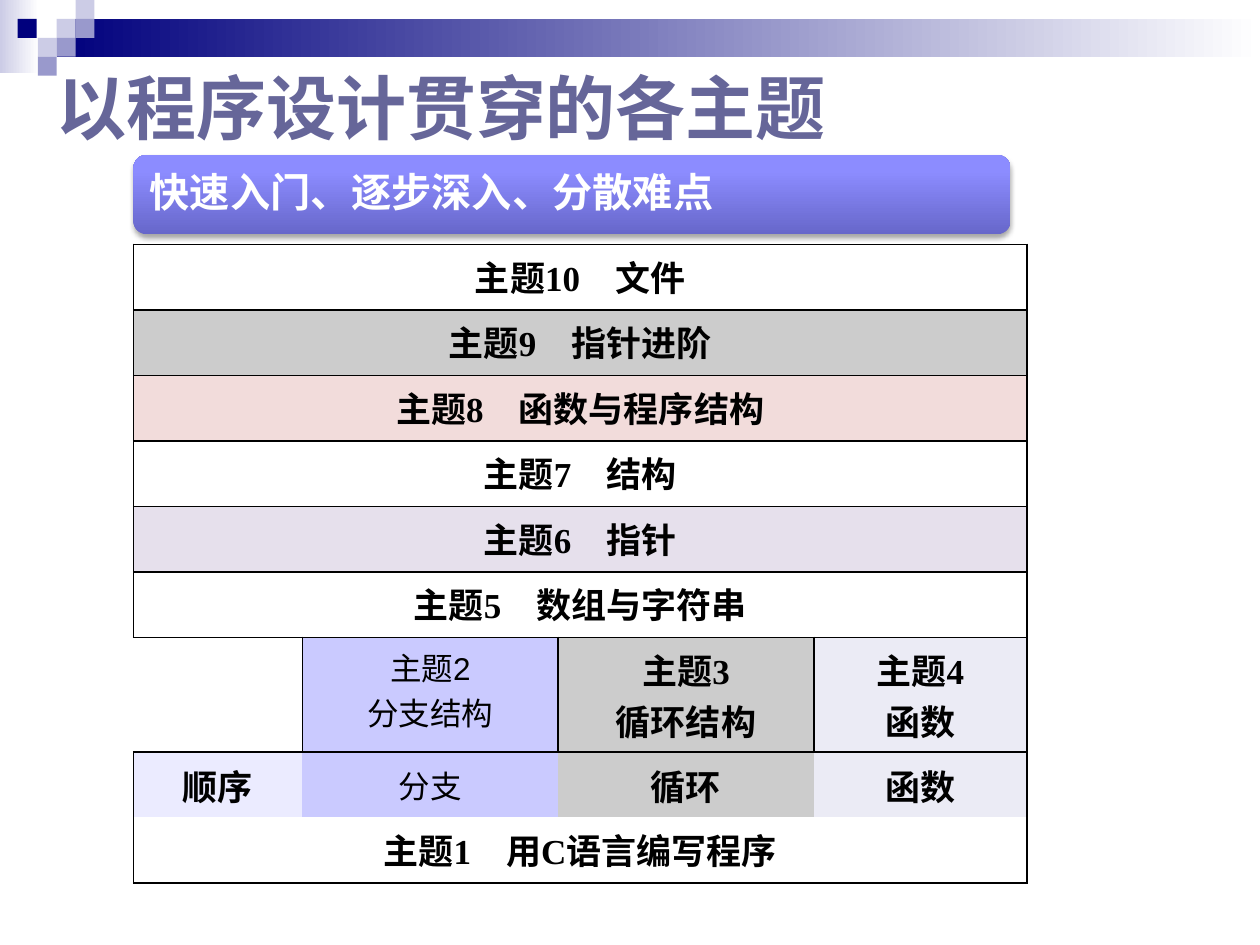
from lxml import etree
from pptx import Presentation
from pptx.dml.color import RGBColor
from pptx.enum.shapes import MSO_SHAPE
from pptx.enum.text import MSO_ANCHOR, MSO_AUTO_SIZE, PP_ALIGN
from pptx.oxml import parse_xml
from pptx.oxml.ns import nsdecls, qn
from pptx.util import Inches, Pt

RECT, ROUND = MSO_SHAPE.RECTANGLE, MSO_SHAPE.ROUNDED_RECTANGLE
MIDDLE, TOP = MSO_ANCHOR.MIDDLE, MSO_ANCHOR.TOP
CENTER, GROW = PP_ALIGN.CENTER, MSO_AUTO_SIZE.SHAPE_TO_FIT_TEXT

TITLE = "以程序设计贯穿的各主题"
SLOGAN = "快速入门、逐步深入、分散难点"
BARS = [
    ((0, 0, 0.31, 0.58), [(0, "CCCCE6"), (100, "FFFFFF")]),
    ((0.45, 0.15, 9.55, 0.3), [(0, "00007D"), (100, "FFFFFF")]),
]
TILES = [
    (0.45, 0.15, "CCCCE6"), (0.6, 0, "CCCCE6"), (0.6, 0.15, "9999CC"),
    (0.3, 0.3, "CCCCE6"), (0.14, 0.15, "00007D"),
    (0.45, 0.3, "9999CC"), (0.3, 0.45, "9999CC"),
]
TILE = 0.15
GLOW = [(0, "6767CA"), (80, "8C8CFF"), (100, "8E8EFF")]
COLS = [1.34, 2.03, 2.03, 1.69]
ROWS = [0.52] * 6 + [0.91] + [0.52] * 2
GRID = [
    [("主题10　文件", None)],
    [("主题9　指针进阶", "CCCCCC")],
    [("主题8　函数与程序结构", "F2DCDB")],
    [("主题7　结构", None)],
    [("主题6　指针", "E6E0EC")],
    [("主题5　数组与字符串", None)],
    [("", None), ("主题2\n分支结构", "CACAFF"),
     ("主题3\n循环结构", "CCCCCC"), ("主题4\n函数", "EBEBF5")],
    [("顺序", "EBEBFF"), ("分支", "CACAFF"),
     ("循环", "CCCCCC"), ("函数", "EBEBF5")],
    [("主题1　用C语言编写程序", None)],
]
STEPS, WORDS, BASE = 6, 7, 8


def color(code):
    return RGBColor.from_string(code)


def write(par, text, size, face, code, bold):
    run = par.add_run()
    run.text = text
    font = run.font
    font.size, font.name, font.bold = Pt(size), face, bold
    font.color.rgb = color(code)


def block(slide, kind, box, code=None):
    shape = slide.shapes.add_shape(kind, *map(Inches, box))
    shape.shadow.inherit = False
    shape.line.fill.background()
    if code:
        shape.fill.solid()
        shape.fill.fore_color.rgb = color(code)
    return shape


def blend(shape, stops, angle):
    shape.fill.gradient()
    grad = shape._element.spPr.find(qn("a:gradFill"))
    items = grad.find(qn("a:gsLst"))
    for item in list(items):
        items.remove(item)
    for spot, code in stops:
        stop = etree.SubElement(items, qn("a:gs"), pos=str(spot * 1000))
        etree.SubElement(stop, qn("a:srgbClr"), val=code)
    grad.find(qn("a:lin")).set("ang", str(angle * 60000))


def shade(shape):
    effects = shape._element.spPr.find(qn("a:effectLst"))
    effects.append(parse_xml(
        f'<a:outerShdw {nsdecls("a")} blurRad="{Pt(3.1)}" dist="{Pt(1.8)}" '
        'dir="5400000" rotWithShape="0"><a:srgbClr val="000000">'
        '<a:alpha val="35000"/></a:srgbClr></a:outerShdw>'))


def label(slide, box, text, size, code):
    frame = slide.shapes.add_textbox(*map(Inches, box)).text_frame
    frame.word_wrap = True
    write(frame.paragraphs[0], text, size, "Arial", code, True)
    return frame


def sides(row, col):
    if row == STEPS:
        return "RTB" if col == 0 else "LRTB"
    if row == WORDS:
        return "T" + {0: "L", 3: "R"}.get(col, "")
    return "LRB" if row == BASE else "LRTB"


def border(cell, drawn):
    props = cell._tc.get_or_add_tcPr()
    for place, side in enumerate("LRTB"):
        paint = "<a:noFill/>"
        if side in drawn:
            paint = '<a:solidFill><a:srgbClr val="000000"/></a:solidFill>'
        props.insert(place, parse_xml(
            f'<a:ln{side} {nsdecls("a")} w="{Pt(1)}">{paint}</a:ln{side}>'))


def fill(cell, text, code, row, col):
    if code:
        cell.fill.solid()
        cell.fill.fore_color.rgb = color(code)
    else:
        cell.fill.background()
    cell.vertical_anchor = MIDDLE if row == WORDS else TOP
    light = len(GRID[row]) > 1 and col == 1
    size, face = (18, "Arial") if light else (20, "Times New Roman")
    frame = cell.text_frame
    for i, line in enumerate(text.split("\n")):
        par = frame.add_paragraph() if i else frame.paragraphs[0]
        par.alignment = CENTER
        if line:
            write(par, line, size, face, "000000", not light)


def chart(slide):
    table = slide.shapes.add_table(
        len(ROWS), len(COLS), Inches(1.06), Inches(1.94),
        Inches(sum(COLS)), Inches(sum(ROWS))).table
    table.first_row = table.horz_banding = False
    for col, width in zip(table.columns, COLS):
        col.width = Inches(width)
    for row, height in zip(table.rows, ROWS):
        row.height = Inches(height)
    for r, items in enumerate(GRID):
        if len(items) == 1:
            table.cell(r, 0).merge(table.cell(r, len(COLS) - 1))
        for c, (text, code) in enumerate(items):
            fill(table.cell(r, c), text, code, r, c)
        for c in range(len(COLS)):
            border(table.cell(r, c), sides(r, c))


def main():
    deck = Presentation()
    deck.slide_width, deck.slide_height = Inches(10), Inches(7.5)
    slide = deck.slides.add_slide(deck.slide_layouts[6])
    for box, stops in BARS:
        blend(block(slide, RECT, box), stops, 0)
    for x, y, code in TILES:
        block(slide, RECT, (x, y, TILE, TILE), code)
    label(slide, (0.35, 0.46, 7.72, 0.77), TITLE, 40, "666699").auto_size = GROW
    chart(slide)
    banner = block(slide, ROUND, (1.06, 1.23, 6.96, 0.63))
    blend(banner, GLOW, 270)
    shade(banner)
    frame = label(slide, (1.09, 1.26, 6.9, 0.57), SLOGAN, 23, "FFFFFF")
    frame.vertical_anchor = MIDDLE
    frame.margin_top = frame.margin_bottom = Inches(0.1)
    frame.paragraphs[0].line_spacing = 0.9
    deck.save("out.pptx")


if __name__ == "__main__":
    main()
